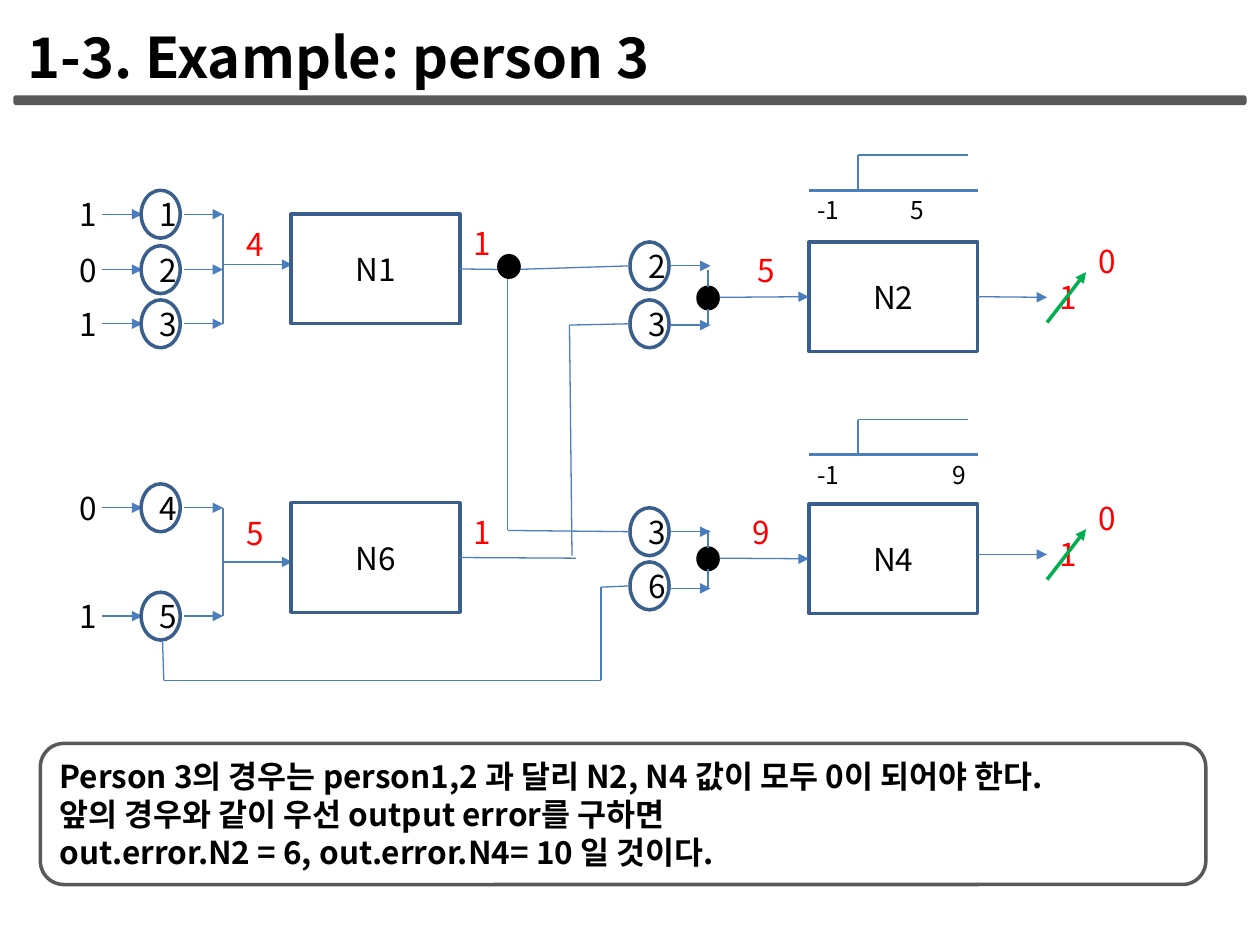
from dataclasses import dataclass
from itertools import pairwise

from lxml.etree import SubElement
from pptx import Presentation
from pptx.dml.color import RGBColor
from pptx.enum.shapes import MSO_CONNECTOR, MSO_SHAPE
from pptx.enum.text import MSO_ANCHOR, MSO_AUTO_SIZE, PP_ALIGN
from pptx.oxml.ns import qn
from pptx.util import Inches, Pt

COLUMNS, ROWS = 100, 75
TOP, LEFT, BOTTOM, RIGHT = range(4)


@dataclass(frozen=True)
class Theme:
    font: str = "Noto Sans CJK KR"
    ink: str = "000000"
    paper: str = "FFFFFF"
    frame: str = "595959"
    outline: str = "3A5F8C"
    wire: str = "4B7EBC"
    value: str = "FF0000"
    correction: str = "00B050"
    title_size: float = 32
    body_size: float = 18
    axis_size: float = 14
    thin: float = 0.75
    axis: float = 1.75
    thick: float = 2


class Diagram:
    def __init__(self, presentation, theme):
        self.theme = theme
        self.column = presentation.slide_width / COLUMNS
        self.row = presentation.slide_height / ROWS
        self.slide = presentation.slides.add_slide(presentation.slide_layouts[6])

    def place(self, *lengths):
        units = (self.column, self.row) * 2
        return [round(length * unit) for length, unit in zip(lengths, units)]

    def add_lines(self, frame, lines, size, color, bold=False, align=PP_ALIGN.LEFT):
        frame.word_wrap = True
        for index, line in enumerate(lines):
            paragraph = frame.add_paragraph() if index else frame.paragraphs[0]
            paragraph.alignment = align
            run = paragraph.add_run()
            run.text = line
            run.font.name = self.theme.font
            run.font.size = Pt(size)
            run.font.bold = bold
            run.font.color.rgb = RGBColor.from_string(color)
            east_asian = SubElement(run.font._element, qn("a:ea"))
            east_asian.set("typeface", self.theme.font)

    def text(self, box, line, size=None, color=None, bold=False):
        frame = self.slide.shapes.add_textbox(*self.place(*box)).text_frame
        self.add_lines(frame, [line], size or self.theme.body_size, color or self.theme.ink, bold)
        frame.auto_size = MSO_AUTO_SIZE.SHAPE_TO_FIT_TEXT

    def value(self, left, top, line):
        self.text((left, top, 3.1, 4), line, color=self.theme.value)

    def shape(self, kind, box, line, fill=None, lines=(), bold=False, align=PP_ALIGN.CENTER):
        shape = self.slide.shapes.add_shape(kind, *self.place(*box))
        shape.shadow.inherit = False
        shape.line.color.rgb = RGBColor.from_string(line)
        shape.line.width = Pt(self.theme.thick)
        if fill:
            shape.fill.solid()
            shape.fill.fore_color.rgb = RGBColor.from_string(fill)
        else:
            shape.fill.background()
        if lines:
            shape.text_frame.vertical_anchor = MSO_ANCHOR.MIDDLE
            self.add_lines(shape.text_frame, lines, self.theme.body_size, self.theme.ink, bold, align)
        return shape

    def neuron(self, left, top, name):
        box = (left, top, 13.4, 8.7)
        return self.shape(MSO_SHAPE.RECTANGLE, box, self.theme.outline, lines=[name])

    def circle(self, left, top, label, line=None):
        box = (left, top, 3.1, 3.8)
        self.shape(MSO_SHAPE.OVAL, box, line or self.theme.outline, lines=[label])

    def dot(self, left, top):
        box = (left, top, 1.6, 1.7)
        self.shape(MSO_SHAPE.OVAL, box, self.theme.ink, self.theme.ink)

    def wire(self, start, end, arrow=False, color=None, width=None, source=None, target=None):
        points = self.place(*start, *end)
        connector = self.slide.shapes.add_connector(MSO_CONNECTOR.STRAIGHT, *points)
        connector.line.color.rgb = RGBColor.from_string(color or self.theme.wire)
        connector.line.width = Pt(width or self.theme.thin)
        if arrow:
            SubElement(connector.line._get_or_add_ln(), qn("a:tailEnd")).set("type", "triangle")
        SubElement(connector._element.spPr, qn("a:effectLst"))
        if source:
            connector.begin_connect(source, RIGHT)
        if target:
            connector.end_connect(target, LEFT)

    def route(self, *points):
        for start, end in pairwise(points):
            self.wire(start, end)

    def input_unit(self, row, signal, weight):
        self.circle(4.9, row - 1.9, signal, self.theme.paper)
        self.wire((8.1, row), (11.3, row), arrow=True)
        self.circle(11.2, row - 1.9, weight)
        self.wire((14.6, row), (17.7, row), arrow=True)

    def input_layer(self, name, top, inputs, sum_row, total):
        for row, signal, weight in inputs:
            self.input_unit(row, signal, weight)
        self.wire((17.7, inputs[0][0]), (17.7, inputs[-1][0]))
        self.wire((17.7, sum_row), (23.2, sum_row), arrow=True)
        self.value(18.6, top + 0.4, total)
        self.value(36.6, top + 0.3, "1")
        return self.neuron(23.1, top, name)

    def output_layer(self, name, top, dot_top, weights, total, out_row):
        neuron = self.neuron(64.2, top, name)
        for circle_top, row, weight in weights:
            self.circle(50, circle_top, weight)
            self.wire((53.2, row), (56.4, row), arrow=True)
        self.dot(55.4, dot_top)
        self.wire((56.2, dot_top), (56.2, dot_top - 1.4))
        self.wire((56.2, dot_top + 3.1), (56.2, dot_top + 1.7))
        self.wire((57.1, dot_top + 0.8), (64.2, dot_top + 0.8), arrow=True, target=neuron)
        self.value(*total)
        centered = abs(top + 4.35 - out_row) < 0.1
        self.wire((77.6, out_row), (83.1, out_row), arrow=True, source=neuron if centered else None)
        self.value(83.1, out_row - 2, "1")
        self.wire((83.1, out_row + 2), (86.2, out_row - 2), arrow=True,
                  color=self.theme.correction, width=self.theme.thick)
        self.value(86.2, out_row - 4.9, "0")

    def step_function(self, base, threshold_left, threshold):
        self.wire((64.2, base), (77.6, base), width=self.theme.axis)
        self.route((68.1, base), (68.1, base - 2.8), (76.8, base - 2.8))
        for left, label in ((63.9, "-1"), (threshold_left, threshold)):
            self.text((left, base - 0.1, 4.7, 3.4), label, self.theme.axis_size)


def main():
    presentation = Presentation()
    presentation.slide_width, presentation.slide_height = Inches(10), Inches(7.5)
    theme = Theme()
    diagram = Diagram(presentation, theme)

    diagram.shape(MSO_SHAPE.ROUNDED_RECTANGLE, (1.2, 7.7, 97.6, 0.5), theme.frame, theme.frame)
    diagram.text((1.2, 1.3, 92.9, 6.4), "1-3. Example: person 3", theme.title_size, bold=True)
    diagram.shape(
        MSO_SHAPE.ROUNDED_RECTANGLE, (3.2, 59, 92.5, 11.2), theme.frame, bold=True,
        align=PP_ALIGN.LEFT, lines=[
            "Person 3의 경우는 person1,2 과 달리 N2, N4 값이 모두 0이 되어야 한다.",
            "앞의 경우와 같이 우선 output error를 구하면",
            "out.error.N2 = 6, out.error.N4= 10 일 것이다.",
        ])

    first = diagram.input_layer(
        "N1", 17, [(17, "1", "1"), (21.4, "0", "2"), (25.7, "1", "3")], 21, "4")
    sixth = diagram.input_layer(
        "N6", 39.9, [(40.3, "0", "4"), (48.9, "1", "5")], 44.6, "5")
    diagram.output_layer(
        "N2", 19.2, 22.8, [(19.2, 21.1, "2"), (23.8, 25.8, "3")], (59.1, 19.4, "5"), 23.6)
    diagram.output_layer(
        "N4", 40, 43.5, [(40.3, 42.2, "3"), (44.6, 46.7, "6")], (58.7, 40.2, "9"), 44)
    diagram.step_function(15.1, 71.3, "5")
    diagram.step_function(36.1, 74.6, "9")

    diagram.wire((36.6, 21.4), (40.6, 21.4), source=first)
    diagram.wire((40.6, 21.4), (50, 21.1))
    diagram.route((40.3, 21.1), (40.3, 42.1), (50, 42.2))
    diagram.dot(39.6, 20.3)
    diagram.wire((36.6, 44.3), (45.7, 44.3), source=sixth)
    diagram.route((45.4, 44.1), (45.2, 25.8), (50, 25.7))
    diagram.route((12.9, 50.8), (13, 54), (47.7, 54), (47.7, 46.6), (50, 46.5))

    presentation.save("out.pptx")


if __name__ == "__main__":
    main()
